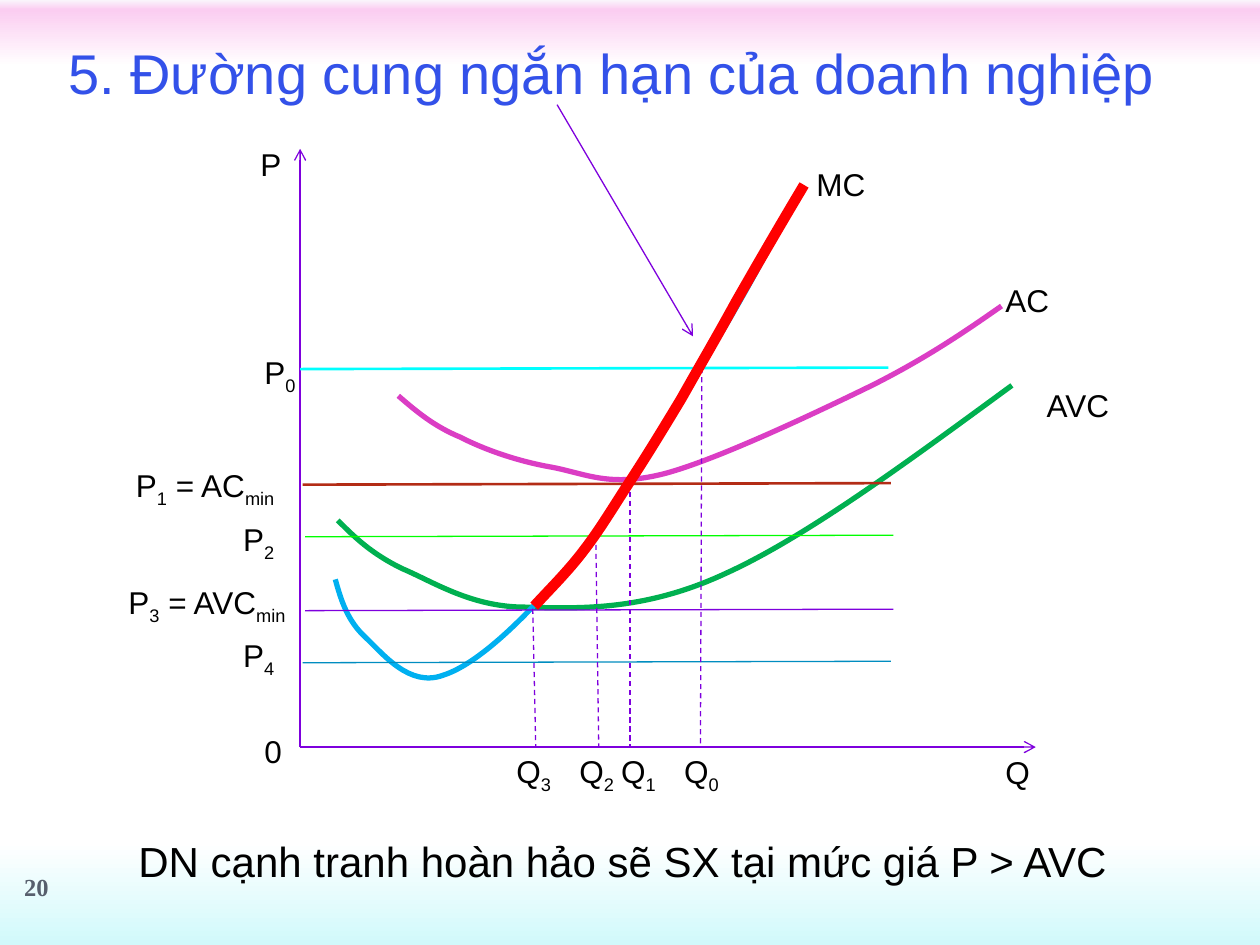
from lxml.etree import SubElement
from pptx import Presentation
from pptx.dml.color import RGBColor
from pptx.enum.dml import MSO_LINE
from pptx.enum.shapes import MSO_CONNECTOR
from pptx.enum.text import MSO_ANCHOR, MSO_AUTO_SIZE, PP_ALIGN
from pptx.oxml.ns import qn
from pptx.util import Cm, Pt

PURPLE, BLACK = "7E00DD", "000000"
LABEL_HEIGHT = 1.02
PRICE_LENGTH, PRICE_RISE = 11.86, 0.03

BACKGROUND = [(0, "FAF6FC"), (1, "FBCDF1"), (7, "FFFFFF"), (89, "FFFFFF"), (100, "D1F9FB")]
CURVES = [
    ("00B050", 3, [
        (0.76, 7.49), (1.09, 7.82), (1.42, 8.15), (2.05, 8.46), (2.69, 8.73),
        (3.45, 9.24), (4.54, 9.24), (5.63, 9.27), (6.95, 9.32), (8.58, 8.56),
        (10.21, 7.82), (12.26, 6.3), (14.35, 4.77)]),
    ("DB3DC4", 3, [
        (1.98, 4.98), (2.33, 5.28), (2.69, 5.59), (3.22, 5.81), (3.73, 6.07),
        (4.39, 6.3), (5.08, 6.42), (5.76, 6.55), (6.24, 6.83), (7.34, 6.55),
        (8.4, 6.27), (10.38, 5.33), (11.53, 4.77), (12.64, 4.21), (13.41, 3.68),
        (14.14, 3.17)]),
    ("00B0F0", 3, [
        (0.71, 8.68), (0.83, 9.12), (0.96, 9.52), (1.32, 9.85), (1.67, 10.18),
        (2.21, 10.87), (2.89, 10.61), (3.58, 10.39), (4.54, 9.47), (5.43, 8.4),
        (6.32, 7.34), (7.39, 5.51), (8.17, 4.24), (8.96, 2.97), (9.52, 1.88),
        (10.1, 0.78)]),
]
SUPPLY_CURVE = ("FF0000", 6, [
    (4.72, 9.22), (5.05, 8.86), (5.41, 8.51), (5.74, 8.07), (6.07, 7.64),
    (6.37, 7.13), (6.7, 6.63), (7.03, 6.12), (7.34, 5.61), (7.69, 5.03),
    (8.02, 4.44), (8.38, 3.83), (8.78, 3.1), (9.19, 2.38), (9.67, 1.55),
    (10.16, 0.73)])
PRICE_LINES = [
    (0, 4.44, "00FFFF", 1.5), (0.05, 6.77, "B32C16", 1.5), (0.1, 7.82, "00FF00", 0.75),
    (0.1, 9.31, PURPLE, 0.75), (0.05, 10.36, "008DC0", 0.75),
]
QUANTITY_LINES = [(8.1, 4.42, 8.07), (6.65, 6.73, 6.65), (5.96, 7.8, 6.02), (4.69, 9.27, 4.75)]
LABELS = [
    ("AVC", 14.8, 4.65, 1.78), ("AC", 13.97, 2.54, 1.4), ("MC", 10.16, 0.2, 1.5),
    ("P", -1.05, -0.21, 0.94), ("0", -0.97, 11.63, 0.86), ("Q", 13.97, 12.06, 1.02),
    ("P_0_", -0.97, 3.99, 1.35), ("P_1_ = AC_min_", -3.56, 6.27, 3.45),
    ("P_2_", -1.4, 7.36, 1.35), ("P_3_ = AVC_min_", -3.71, 8.63, 3.84),
    ("P_4_", -1.4, 9.7, 1.17), ("Q_3_", 4.11, 12.04, 1.24), ("Q_2_", 5.38, 12.04, 1.24),
    ("Q_1_", 6.22, 12.04, 1.24), ("Q_0_", 7.49, 12.04, 1.27),
]


def color(value):
    return RGBColor.from_string(value)


def apply_format(target, values):
    for name, value in values.items():
        setattr(target, name, value)


def write_text(shape, text, size, text_color=BLACK, font="Arial", bold=False,
               alignment=PP_ALIGN.LEFT, anchor=MSO_ANCHOR.TOP):
    apply_format(shape.text_frame, {
        "word_wrap": False, "auto_size": MSO_AUTO_SIZE.NONE, "vertical_anchor": anchor})
    paragraph = shape.text_frame.paragraphs[0]
    paragraph.alignment = alignment
    for index, part in enumerate(text.split("_")):
        if not part:
            continue
        run = paragraph.add_run()
        run.text = part
        apply_format(run.font, {"name": font, "size": Pt(size), "bold": bold})
        run.font.color.rgb = color(text_color)
        if index % 2:
            run._r.get_or_add_rPr().set("baseline", "-25000")


def add_text(slide, box, text, size, **values):
    shape = slide.shapes.add_textbox(*map(Cm, box))
    write_text(shape, text, size, **values)


def add_line(slide, start, end, line_color=PURPLE, width=0.75, dashed=False, arrow=False):
    connector = slide.shapes.add_connector(
        MSO_CONNECTOR.STRAIGHT, *map(Cm, (*start, *end)))
    connector.line.color.rgb = color(line_color)
    connector.line.width = Pt(width)
    if dashed:
        connector.line.dash_style = MSO_LINE.DASH
    if arrow:
        SubElement(connector.line._get_or_add_ln(), qn("a:tailEnd"), type="arrow")
    SubElement(connector._element.spPr, qn("a:effectLst"))


def add_curve(slide, line_color, width, points):
    points = [(Cm(x), Cm(y)) for x, y in points]
    builder = slide.shapes.build_freeform(*points[0])
    builder.add_line_segments(points[1:], close=False)
    shape = builder.convert_to_shape()
    shape.shadow.inherit = False
    shape.fill.background()
    shape.line.color.rgb = color(line_color)
    shape.line.width = Pt(width)
    outline = shape._element.find(".//" + qn("a:path"))
    segments = outline.findall(qn("a:lnTo"))
    for index in range(0, len(segments), 3):
        bezier = SubElement(outline, qn("a:cubicBezTo"))
        for segment in segments[index:index + 3]:
            bezier.append(segment[0])
            outline.remove(segment)


def paint_background(slide):
    fill = slide.background.fill
    fill.gradient()
    fill.gradient_angle = 270
    stops = slide.element.find(".//" + qn("a:gsLst"))
    stops.clear()
    for position, stop_color in BACKGROUND:
        stop = SubElement(stops, qn("a:gs"), pos=str(position * 1000))
        SubElement(stop, qn("a:srgbClr"), val=stop_color)


def place_title(slide, box, text):
    title = slide.shapes.title
    apply_format(title, dict(zip(("left", "top", "width", "height"), map(Cm, box))))
    write_text(title, text, 32, text_color="3351E9")


def draw_cost_diagram(slide, box):
    left, top, width, height = box

    def at(x, y):
        return left + x, top + y

    def draw_curve(line_color, line_width, points):
        add_curve(slide, line_color, line_width, [at(*point) for point in points])

    for end in (at(0, 0), at(width, height)):
        add_line(slide, at(0, height), end, arrow=True)
    for curve in CURVES:
        draw_curve(*curve)
    for x, y, line_color, line_width in PRICE_LINES:
        add_line(slide, at(x + PRICE_LENGTH, y - PRICE_RISE), at(x, y), line_color, line_width)
    for x, y, foot in QUANTITY_LINES:
        add_line(slide, at(x, y), at(foot, height), dashed=True)
    for text, x, y, label_width in LABELS:
        add_text(slide, (*at(x, y), label_width, LABEL_HEIGHT), text, 18)
    draw_curve(*SUPPLY_CURVE)
    add_line(slide, at(5.18, -0.89), at(7.92, 3.78), arrow=True)


def main():
    presentation = Presentation()
    presentation.slide_width, presentation.slide_height = Cm(25.4), Cm(19.05)
    slide = presentation.slides.add_slide(presentation.slide_layouts[5])
    paint_background(slide)
    place_title(slide, (1.12, 0.64, 22.58, 1.63), "5. Đường cung ngắn hạn của doanh nghiệp")
    draw_cost_diagram(slide, (6.05, 3, 14.83, 12.06))
    add_text(slide, (2.54, 16.71, 20.24, 1.3),
             "DN cạnh tranh hoàn hảo sẽ SX tại mức giá P > AVC", 24)
    add_text(slide, (0, 17.35, 1.47, 1.07), "20", 14, text_color="575F6D",
             font="Times New Roman", bold=True, alignment=PP_ALIGN.CENTER,
             anchor=MSO_ANCHOR.MIDDLE)
    presentation.save("out.pptx")


if __name__ == "__main__":
    main()
